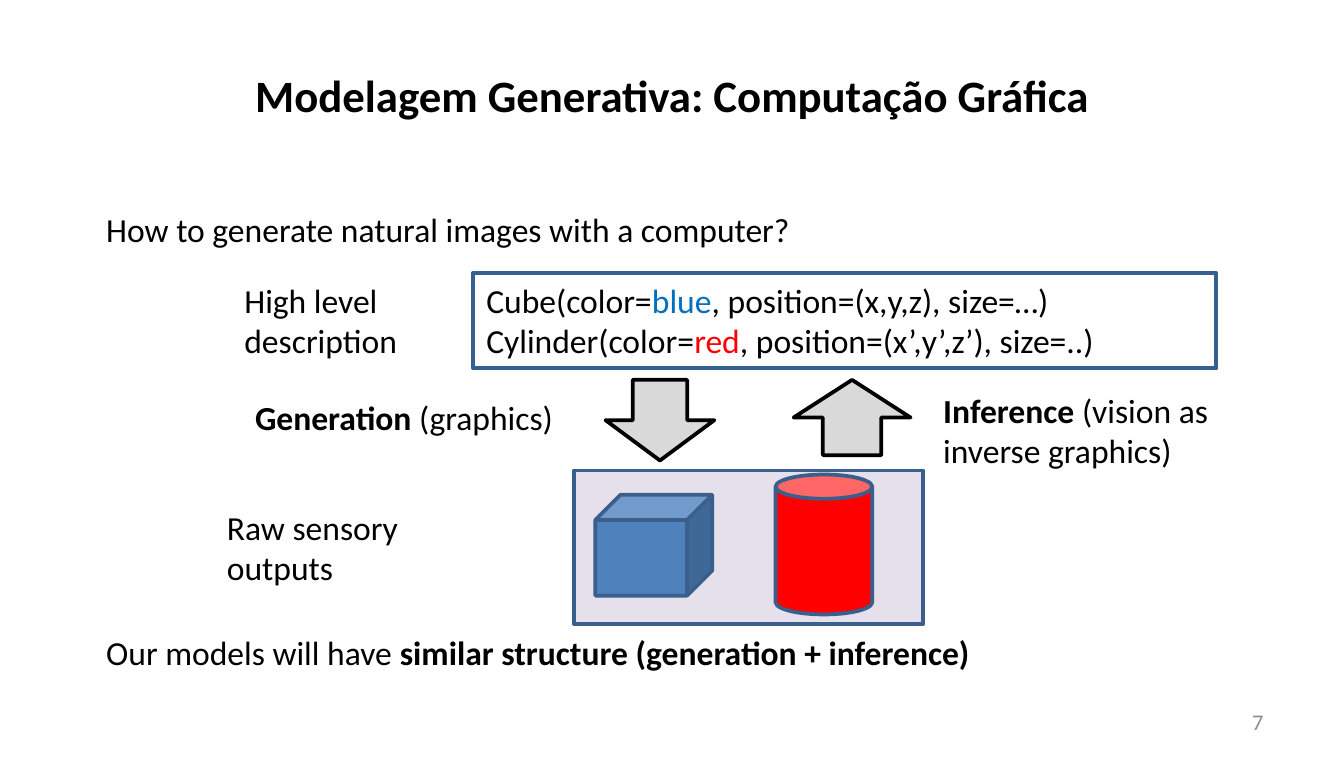
from pptx import Presentation
from pptx.dml.color import RGBColor
from pptx.enum.shapes import MSO_SHAPE
from pptx.enum.text import MSO_ANCHOR, MSO_AUTO_SIZE, PP_ALIGN
from pptx.oxml.ns import qn
from pptx.util import Inches, Pt

RECT, CUBE, CAN = MSO_SHAPE.RECTANGLE, MSO_SHAPE.CUBE, MSO_SHAPE.CAN
ARROW = MSO_SHAPE.RIGHT_ARROW
TOP, MIDDLE = MSO_ANCHOR.TOP, MSO_ANCHOR.MIDDLE
LEFT, CENTER, RIGHT = PP_ALIGN.LEFT, PP_ALIGN.CENTER, PP_ALIGN.RIGHT
NO_FIT = MSO_AUTO_SIZE.NONE

BLACK = RGBColor(0x00, 0x00, 0x00)
GRAY = RGBColor(0x8C, 0x8C, 0x8C)
LIGHT_GRAY = RGBColor(0xD9, 0xD9, 0xD9)
BLUE_TEXT = RGBColor(0x00, 0x70, 0xC0)
RED = RGBColor(0xFF, 0x00, 0x00)
NAVY = RGBColor(0x37, 0x60, 0x92)
OUTLINE = RGBColor(0x3A, 0x5F, 0x8C)
LILAC = RGBColor(0xE6, 0xE0, 0xEC)
CUBE_BLUE = RGBColor(0x4F, 0x81, 0xBD)


def write(shape, paragraphs, size=18, align=LEFT, anchor=TOP, wrap=True):
    tf = shape.text_frame
    tf.auto_size = NO_FIT
    tf.word_wrap = wrap
    tf.vertical_anchor = anchor
    for i, runs in enumerate(paragraphs):
        p = tf.paragraphs[0] if i == 0 else tf.add_paragraph()
        p.alignment = align
        p.space_before = Pt(0)
        for text, bold, color in runs:
            r = p.add_run()
            r.text = text
            r.font.name = "Calibri"
            r.font.size = Pt(size)
            r.font.bold = bold
            r.font.color.rgb = color


def add_outlined(kind, box, fill, line, width=2, rotation=0):
    shape = s.shapes.add_shape(kind, *map(Inches, box))
    shape.shadow.inherit = False
    shape.rotation = rotation
    if fill is None:
        shape.fill.background()
    else:
        shape.fill.solid()
        shape.fill.fore_color.rgb = fill
    shape.line.color.rgb = line
    shape.line.width = Pt(width)
    return shape


prs = Presentation()
prs.slide_width, prs.slide_height = Inches(10), Inches(5.63)
s = prs.slides.add_slide(prs.slide_layouts[1])

title, body = s.shapes.title, s.placeholders[1]
for sp, box in [(title, (0.5, 0.23, 9, 0.94)), (body, (0.69, 1.5, 8.62, 3.92))]:
    sp.left, sp.top, sp.width, sp.height = map(Inches, box)

write(title, [[("Modelagem Generativa: Computação Gráfica", True, BLACK)]],
      24, CENTER, MIDDLE)
write(body, [
    [("How to generate natural images with a computer?", False, BLACK)],
    [("Our models will have ", False, BLACK),
     ("similar structure (generation + inference)", True, BLACK)],
])
for p in body.text_frame.paragraphs:
    pPr = p._p.get_or_add_pPr()
    pPr.set("marL", "0")
    pPr.set("indent", "0")
    pPr.append(pPr.makeelement(qn("a:buNone"), {}))
body.text_frame.paragraphs[1].space_before = Pt(205)

code = add_outlined(RECT, (3.52, 2.03, 5.53, 0.71), None, NAVY, 2.25)
write(code, [
    [("Cube(color=", False, BLACK), ("blue", False, BLUE_TEXT),
     (", position=(x,y,z), size=…)", False, BLACK)],
    [("Cylinder(color=", False, BLACK), ("red", False, RED),
     (", position=(x’,y’,z’), size=..)", False, BLACK)],
])

add_outlined(ARROW, (4.61, 2.72, 0.6, 0.81), LIGHT_GRAY, BLACK, rotation=90)
add_outlined(ARROW, (6.06, 2.67, 0.56, 0.87), LIGHT_GRAY, BLACK, rotation=270)
add_outlined(RECT, (4.27, 3.5, 2.6, 1.14), LILAC, OUTLINE)
add_outlined(CUBE, (4.43, 3.68, 0.87, 0.75), CUBE_BLUE, OUTLINE)
add_outlined(CAN, (5.77, 3.53, 0.72, 1.04), RED, OUTLINE)

labels = [
    ((1.72, 2.03, 1.57, 0.71), True, [("High level description", False, BLACK)]),
    ((1.8, 2.9, 2.44, 0.4), False,
     [("Generation", True, BLACK), (" (graphics)", False, BLACK)]),
    ((6.92, 2.85, 2.8, 0.71), True,
     [("Inference", True, BLACK), (" (vision as inverse graphics)", False, BLACK)]),
    ((1.59, 3.72, 1.74, 0.71), True, [("Raw sensory outputs", False, BLACK)]),
]
for box, wrap, runs in labels:
    write(s.shapes.add_textbox(*map(Inches, box)), [runs], wrap=wrap)

number = s.shapes.add_textbox(*map(Inches, (7.17, 5.22, 2.33, 0.3)))
write(number, [[("7", False, GRAY)]], 12, RIGHT, MIDDLE)

prs.save("out.pptx")
